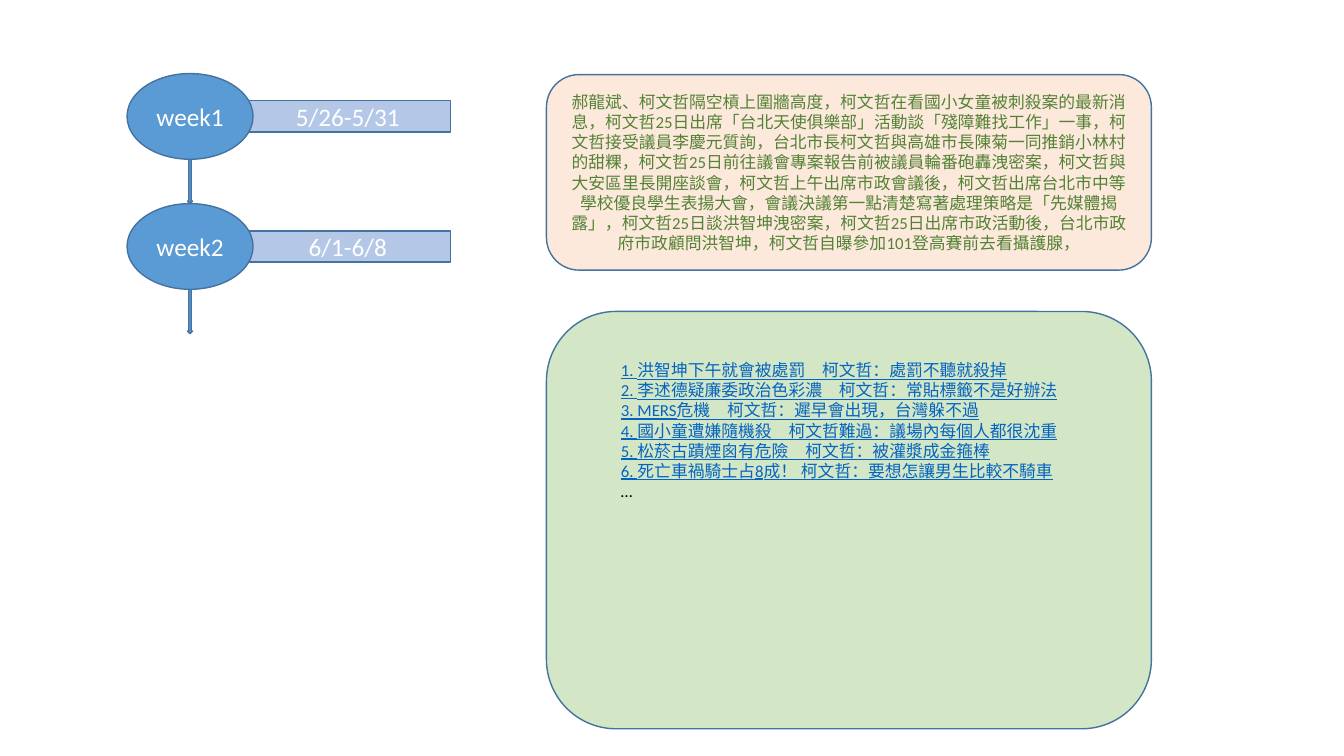
from lxml.etree import SubElement
from pptx import Presentation
from pptx.dml.color import RGBColor
from pptx.enum.shapes import MSO_SHAPE
from pptx.enum.text import MSO_ANCHOR, MSO_AUTO_SIZE, PP_ALIGN
from pptx.oxml.ns import qn
from pptx.util import Emu, Pt

PX = 9144  # 100 px to the inch
LATIN_FONT = "Calibri"
ASIAN_FONT = "Noto Sans CJK SC"
BLUE, OUTLINE, PALE_BLUE = "5B9BD5", "43739E", "B4C7E7"
PEACH, GREEN, DARK_GREEN = "F8CBAD", "A9D18E", "548235"
WHITE, BLACK, LINK_BLUE = "FFFFFF", "000000", "0563C1"

WEEKS = [("week1", "5/26-5/31"), ("week2", "6/1-6/8")]
WEEK_STEP = 129

SUMMARY = (
    "郝龍斌、柯文哲隔空槓上圍牆高度，柯文哲在看國小女童被刺殺案的最新消息，"
    "柯文哲25日出席「台北天使俱樂部」活動談「殘障難找工作」一事，"
    "柯文哲接受議員李慶元質詢，台北市長柯文哲與高雄市長陳菊一同推銷小林村的甜粿，"
    "柯文哲25日前往議會專案報告前被議員輪番砲轟洩密案，柯文哲與大安區里長開座談會，"
    "柯文哲上午出席市政會議後，柯文哲出席台北市中等學校優良學生表揚大會，"
    "會議決議第一點清楚寫著處理策略是「先媒體揭露」，柯文哲25日談洪智坤洩密案，"
    "柯文哲25日出席市政活動後，台北市政府市政顧問洪智坤，"
    "柯文哲自曝參加101登高賽前去看攝護腺，"
)
HEADLINES = [
    "1. 洪智坤下午就會被處罰　柯文哲：處罰不聽就殺掉",
    "2. 李述德疑廉委政治色彩濃　柯文哲：常貼標籤不是好辦法",
    "3. MERS危機　柯文哲：遲早會出現，台灣躲不過",
    "4. 國小童遭嫌隨機殺　柯文哲難過：議場內每個人都很沈重",
    "5. 松菸古蹟煙囪有危險　柯文哲：被灌漿成金箍棒",
    "6. 死亡車禍騎士占8成！ 柯文哲：要想怎讓男生比較不騎車",
]


def color(hex_string):
    return RGBColor.from_string(hex_string)


def box(left, top, width, height):
    return [Emu(length * PX) for length in (left, top, width, height)]


def add_run(paragraph, text, size, hex_string, underline=False):
    run = paragraph.add_run()
    run.text = text
    font = run.font
    font.name = LATIN_FONT
    font.size = Pt(size)
    font.color.rgb = color(hex_string)
    if underline:
        font.underline = True
    # East Asian characters take their own typeface
    latin = font._element.find(qn("a:latin"))
    asian = SubElement(font._element, qn("a:ea"), typeface=ASIAN_FONT)
    latin.addnext(asian)


def add_block(slide, kind, bounds, fill, opacity=100):
    shape = slide.shapes.add_shape(kind, *box(*bounds))
    shape.shadow.inherit = False
    shape.fill.solid()
    shape.fill.fore_color.rgb = color(fill)
    shape.line.color.rgb = color(OUTLINE)
    shape.line.width = Pt(1)
    if opacity < 100:
        fill_color = shape._element.spPr.find(qn("a:solidFill"))[0]
        SubElement(fill_color, qn("a:alpha"), val=str(opacity * 1000))
    return shape


def add_label(shape, text, size, hex_string):
    frame = shape.text_frame
    frame.word_wrap = True
    frame.vertical_anchor = MSO_ANCHOR.MIDDLE
    paragraph = frame.paragraphs[0]
    paragraph.alignment = PP_ALIGN.CENTER
    add_run(paragraph, text, size, hex_string)


def add_week(slide, top, name, dates):
    bar = add_block(slide, MSO_SHAPE.RECTANGLE, (243, top + 27, 204, 31), PALE_BLUE)
    add_label(bar, dates, 18, WHITE)
    add_block(slide, MSO_SHAPE.DOWN_ARROW, (186, top + 85, 5, 44), BLUE)
    circle = add_block(slide, MSO_SHAPE.OVAL, (126, top, 125, 85), BLUE)
    add_label(circle, name, 18, WHITE)


def add_headlines(slide, bounds):
    frame = slide.shapes.add_textbox(*box(*bounds)).text_frame
    frame.word_wrap = True
    frame.auto_size = MSO_AUTO_SIZE.SHAPE_TO_FIT_TEXT
    paragraph = frame.paragraphs[0]
    for headline in HEADLINES:
        add_run(paragraph, headline, 12, LINK_BLUE, underline=True)
        paragraph = frame.add_paragraph()
    add_run(paragraph, "…", 12, BLACK)


def main():
    presentation = Presentation()
    presentation.slide_width = Emu(1333 * PX)
    presentation.slide_height = Emu(750 * PX)
    slide = presentation.slides.add_slide(presentation.slide_layouts[6])

    # Timeline, last week at the back
    for index, (name, dates) in reversed(list(enumerate(WEEKS))):
        add_week(slide, 73 + index * WEEK_STEP, name, dates)

    # Summary of the week
    summary = add_block(slide, MSO_SHAPE.ROUNDED_RECTANGLE, (542, 74, 600, 194), PEACH, 42)
    add_label(summary, SUMMARY, 12, DARK_GREEN)

    # Headlines
    add_block(slide, MSO_SHAPE.FLOWCHART_ALTERNATE_PROCESS, (542, 309, 600, 414), GREEN, 50)
    add_headlines(slide, (606, 352, 491, 182))

    presentation.save("out.pptx")


if __name__ == "__main__":
    main()
